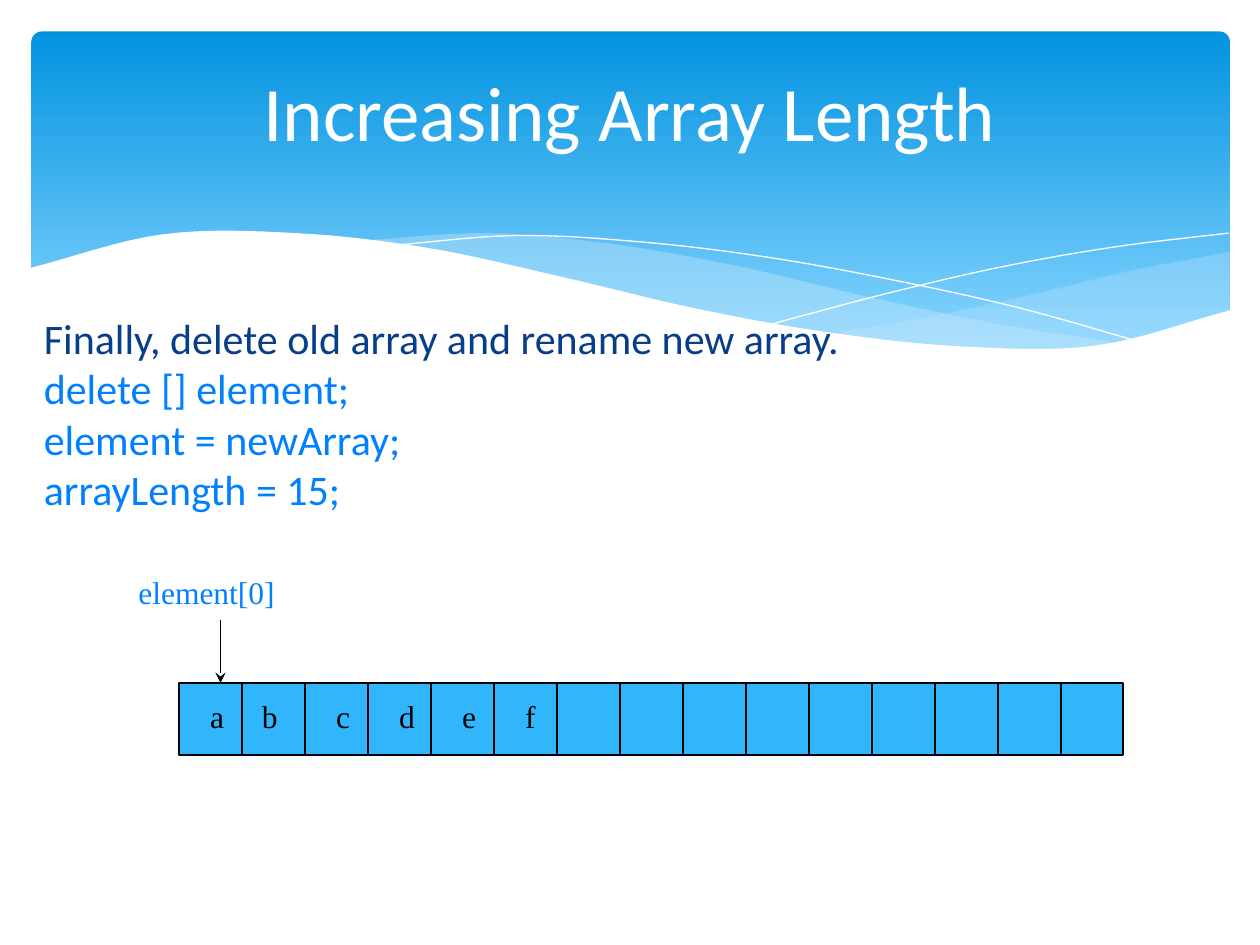
import pptx
import pptx.util
import pptx.dml.color
import pptx.enum.shapes
import pptx.enum.text
import pptx.oxml.ns
import lxml.etree

Inches = pptx.util.Inches
Pt = pptx.util.Pt
qn = pptx.oxml.ns.qn
rgb = pptx.dml.color.RGBColor.from_string


def write(frame, lines, font, size):
    """Fill a text frame with (text, colour) lines."""
    frame.text = "\n".join(text for text, _ in lines)
    for para, (_, code) in zip(frame.paragraphs, lines):
        run = para.runs[0]
        run.font.name = font
        run.font.size = Pt(size)
        run.font.color.rgb = rgb(code)


def curve(start, end, knots, parts=8):
    """Smooth points through heights that lie at equal steps from start to end."""
    step = (end - start) / (len(knots) - 1)
    ends = [2 * knots[0] - knots[1], *knots, 2 * knots[-1] - knots[-2]]
    spots = []
    for i in range(len(knots) - 1):
        a, b, c, d = ends[i:i + 4]
        for k in range(parts):
            t = k / parts
            y = b + t / 2 * (c - a + t * (2 * a - 5 * b + 4 * c - d
                                          + t * (3 * b - a - 3 * c + d)))
            spots.append((start + step * (i + t), y))
    return spots + [(end, knots[-1])]


deck = pptx.Presentation()
deck.slide_width = Inches(10)
deck.slide_height = Inches(7.5)
slide = deck.slides.add_slide(deck.slide_layouts[5])
shapes = slide.shapes

# Banner
banner = shapes.add_shape(pptx.enum.shapes.MSO_SHAPE.ROUNDED_RECTANGLE,
                          Inches(0.25), Inches(0.25), Inches(9.51), Inches(2.7))
banner.adjustments[0] = 0.03
banner.shadow.inherit = False
banner.line.fill.background()
banner.fill.gradient()
banner.fill.gradient_angle = 270
for stop, place, code in zip(banner.fill.gradient_stops, (0, 0.9), ("0293E0", "83D3FE")):
    stop.position = place
    stop.color.rgb = rgb(code)

# Waves: fill, opacity in percent, start, end, upper edge, lower edge (inches)
waves = [
    ("C6E7FC", 29, 6.61, 9.76, [2.65, 2.51, 2.34, 2.15, 2], [2.65, 2.75, 2.78, 2.7, 2.47]),
    ("C6E7FC", 40, 2.86, 8.93, [1.91, 1.85, 1.94, 2.12, 2.36, 2.57, 2.73],
     [1.91, 2.08, 2.31, 2.53, 2.69, 2.78, 2.73]),
    (None, 100, 3.09, 9.07, [1.95, 1.87, 1.92, 2.04, 2.22, 2.44, 2.72], None),
    (None, 100, 6.13, 9.75, [2.57, 2.33, 2.12, 1.96, 1.85], None),
    ("FFFFFF", 100, 0.23, 9.77,
     [2.13, 1.86, 1.85, 1.97, 2.2, 2.45, 2.64, 2.75, 2.74, 2.46], [3.29, 3.29]),
]
for code, clear, start, end, upper, lower in waves:
    spots = curve(start, end, upper)
    if lower:
        spots += reversed(curve(start, end, lower))
    spots = [(Inches(x), Inches(y)) for x, y in spots]
    draw = shapes.build_freeform(*spots[0])
    draw.add_line_segments(spots[1:], close=bool(lower))
    wave = draw.convert_to_shape()
    wave.shadow.inherit = False
    if not lower:
        wave.fill.background()
        wave.line.color.rgb = rgb("FFFFFF")
        wave.line.width = Pt(0)
        continue
    wave.line.fill.background()
    wave.fill.solid()
    wave.fill.fore_color.rgb = rgb(code)
    if clear < 100:
        tint = wave.element.spPr.find(".//" + qn("a:srgbClr"))
        lxml.etree.SubElement(tint, qn("a:alpha")).set("val", str(clear * 1000))

# Title, brought in front of the banner
title = shapes.title
title.element.getparent().append(title.element)
title.left, title.top = Inches(0.75), Inches(0.25)
title.width, title.height = Inches(8.5), Inches(1.25)
title.text_frame.vertical_anchor = pptx.enum.text.MSO_ANCHOR.MIDDLE
write(title.text_frame, [("Increasing Array Length", "FFFFFF")], "Calibri", 44)
title.text_frame.paragraphs[0].alignment = pptx.enum.text.PP_ALIGN.CENTER

body = shapes.add_textbox(Inches(0.25), Inches(2.43), Inches(9), Inches(2.23))
body.text_frame.word_wrap = True
write(body.text_frame, [
    ("Finally, delete old array and rename new array.", "073E87"),
    ("delete [] element;", "0080FF"),
    ("element = newArray;", "0080FF"),
    ("arrayLength = 15;", "0080FF"),
], "Calibri", 24)

# Array of 15 cells
count, pitch, left, top, base = 15, 0.5, 1.42, 5.42, 6
array = shapes.add_shape(pptx.enum.shapes.MSO_SHAPE.RECTANGLE,
                         Inches(left), Inches(top), Inches(7.49), Inches(0.57))
array.shadow.inherit = False
array.fill.solid()
array.fill.fore_color.rgb = rgb("31B6FD")
array.line.color.rgb = rgb("000000")
array.line.width = Pt(1)

# Cell borders, then the pointer to the first cell
rules = [(left + pitch * i, top, base) for i in range(1, count)]
rules.append((1.75, 4.92, top))
for x, start, end in rules:
    rule = shapes.add_connector(pptx.enum.shapes.MSO_CONNECTOR.STRAIGHT,
                                Inches(x), Inches(start), Inches(x), Inches(end))
    rule.line.color.rgb = rgb("000000")
    rule.line.width = Pt(1)
    lxml.etree.SubElement(rule.element.spPr, qn("a:effectLst"))
stroke = rule.element.spPr.find(qn("a:ln"))
lxml.etree.SubElement(stroke, qn("a:tailEnd")).set("type", "stealth")

labels = [("element[0]", 1, 4.5, 2.25, "0080FF")]
for i, char in enumerate("abcdef"):
    x = 1.98 if char == "b" else 1.57 + pitch * i
    width = {"b": 0.37, "d": 0.37, "f": 0.31}.get(char, 0.35)
    labels.append((char, x, 5.48, width, "000000"))
for text, x, y, width, code in labels:
    label = shapes.add_textbox(Inches(x), Inches(y), Inches(width), Inches(0.5))
    label.text_frame.word_wrap = len(text) > 1
    write(label.text_frame, [(text, code)], "Times New Roman", 18)

deck.save("out.pptx")
